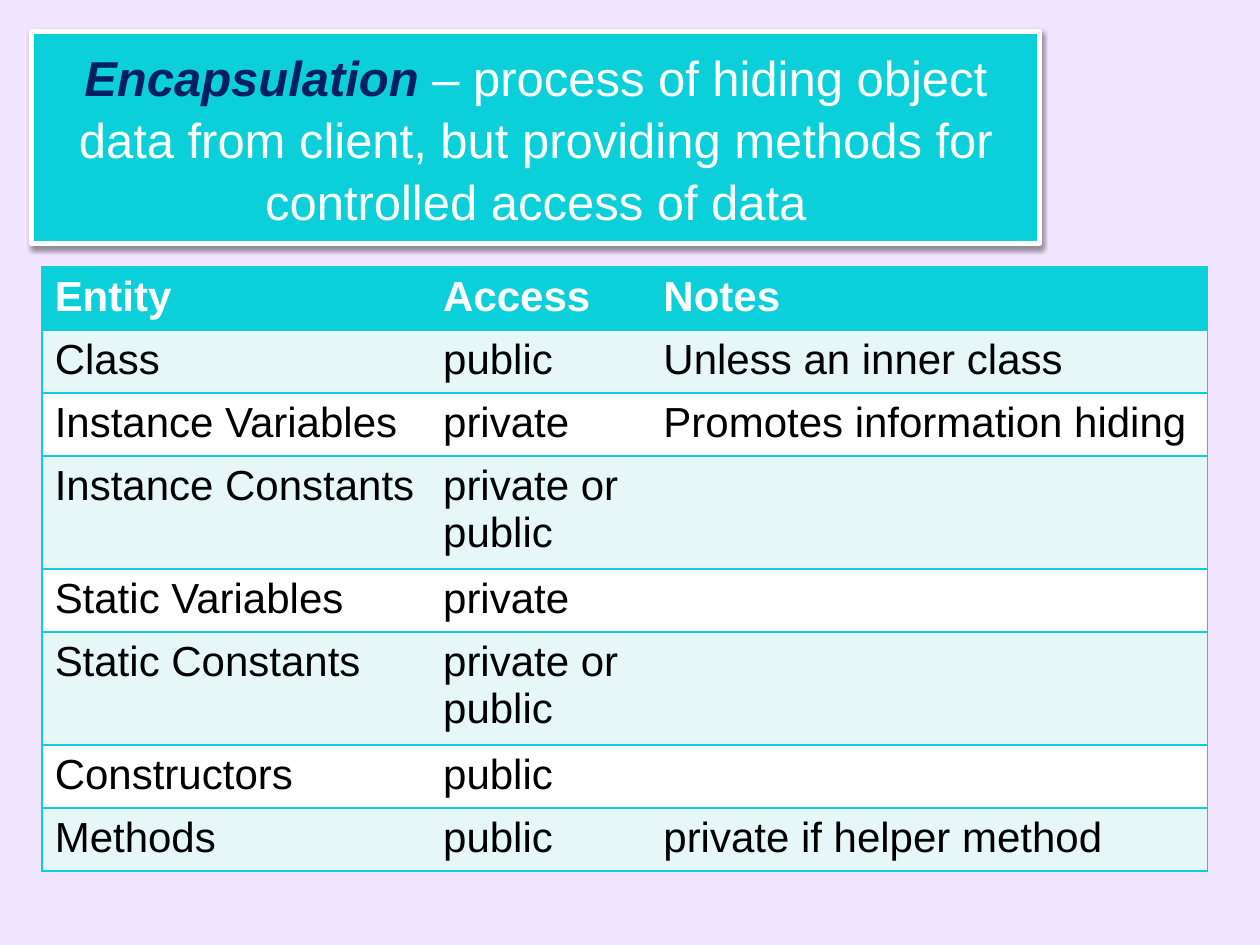
import pptx
import pptx.dml.color
import pptx.enum.text
import pptx.oxml
import pptx.oxml.ns
import pptx.util

Cm, Pt = pptx.util.Cm, pptx.util.Pt

FONT = "Arial"
AQUA, PALE, WHITE = "0BD0D9", "E7F7F8", "FFFFFF"
NAVY, BLACK, LILAC = "002060", "000000", "F2E5FF"
NO_GRID = "{2D5ABB26-0587-4C30-8999-92F81FD0307C}"

HEAD = ("Entity", "Access", "Notes")
ROWS = [
    ("Class", "public", "Unless an inner class"),
    ("Instance Variables", "private", "Promotes information hiding"),
    ("Instance Constants", "private or public", ""),
    ("Static Variables", "private", ""),
    ("Static Constants", "private or public", ""),
    ("Constructors", "public", ""),
    ("Methods", "public", "private if helper method"),
]
WIDTHS = (7.83, 4.44, 11.22)
LOW, TALL = 1.27, 2.28


def color(code):
    return pptx.dml.color.RGBColor.from_string(code)


def paint(fill, code):
    fill.solid()
    fill.fore_color.rgb = color(code)


def node(text):
    """Parse an XML snippet that uses the a: prefix."""
    head, tail = text.split(">", 1)
    slash = "/" if head.endswith("/") else ""
    return pptx.oxml.parse_xml(
        f"{head.rstrip('/')} {pptx.oxml.ns.nsdecls('a')}{slash}>{tail}")


def style(font, size, code, bold=False):
    font.name, font.size, font.bold = FONT, Pt(size), bold
    font.color.rgb = color(code)


def add_title(slide):
    """Turn the title placeholder into a rounded box with a soft shadow."""
    box = slide.shapes.title
    box.left, box.top = Cm(0.64), Cm(0.64)
    box.width, box.height = Cm(20.32), Cm(4.27)
    props = box.element.spPr
    props.append(node('<a:prstGeom prst="roundRect"><a:avLst/></a:prstGeom>'))
    paint(box.fill, AQUA)
    paint(box.line.fill, WHITE)
    box.line.width = Pt(3)
    props.append(node(
        '<a:effectLst><a:outerShdw blurRad="40000" dist="20000" dir="5400000" '
        f'rotWithShape="0"><a:srgbClr val="{BLACK}"><a:alpha val="38000"/>'
        '</a:srgbClr></a:outerShdw></a:effectLst>'))

    frame = box.text_frame
    frame.word_wrap = True
    frame.auto_size = pptx.enum.text.MSO_AUTO_SIZE.NONE
    frame.vertical_anchor = pptx.enum.text.MSO_ANCHOR.MIDDLE
    para = frame.paragraphs[0]
    para.alignment = pptx.enum.text.PP_ALIGN.CENTER
    para.line_spacing = 1.05
    style(para.font, 28, WHITE)
    term = para.add_run()
    term.text = "Encapsulation "
    style(term.font, 28, NAVY, True)
    term.font.italic = True
    rest = para.add_run()
    rest.text = ("– process of hiding object data from client, "
                 "but providing methods for controlled access of data")
    style(rest.font, 28, WHITE)


def edge(cell, sides):
    """Draw borders; sides is a string in the order L, R, T, B."""
    props = cell._tc.get_or_add_tcPr()
    for place, side in enumerate(sides):
        props.insert(place, node(
            f'<a:ln{side} w="12700"><a:solidFill><a:srgbClr val="{AQUA}"/>'
            f'</a:solidFill></a:ln{side}>'))


def add_grid(slide):
    data = [HEAD] + ROWS
    frame = slide.shapes.add_table(len(data), len(HEAD), Cm(0.85), Cm(5.38),
                                   Cm(sum(WIDTHS)), Cm(LOW * len(data)))
    table = frame.table
    table._tbl.tblPr.find(pptx.oxml.ns.qn("a:tableStyleId")).text = NO_GRID
    for col, width in zip(table.columns, WIDTHS):
        col.width = Cm(width)
    sides = ("LTB", "TB", "RTB")
    for r, texts in enumerate(data):
        table.rows[r].height = Cm(TALL if " or " in texts[1] else LOW)
        back = AQUA if r == 0 else PALE if r % 2 else WHITE
        for c, text in enumerate(texts):
            cell = table.cell(r, c)
            cell.text = text
            paint(cell.fill, back)
            edge(cell, sides[c])
            style(cell.text_frame.paragraphs[0].font, 24,
                  BLACK if r else WHITE, r == 0)


def main():
    deck = pptx.Presentation()
    deck.slide_width, deck.slide_height = Cm(25.4), Cm(19.05)
    slide = deck.slides.add_slide(deck.slide_layouts[5])
    paint(slide.background.fill, LILAC)
    add_title(slide)
    add_grid(slide)
    deck.save("out.pptx")


if __name__ == "__main__":
    main()
